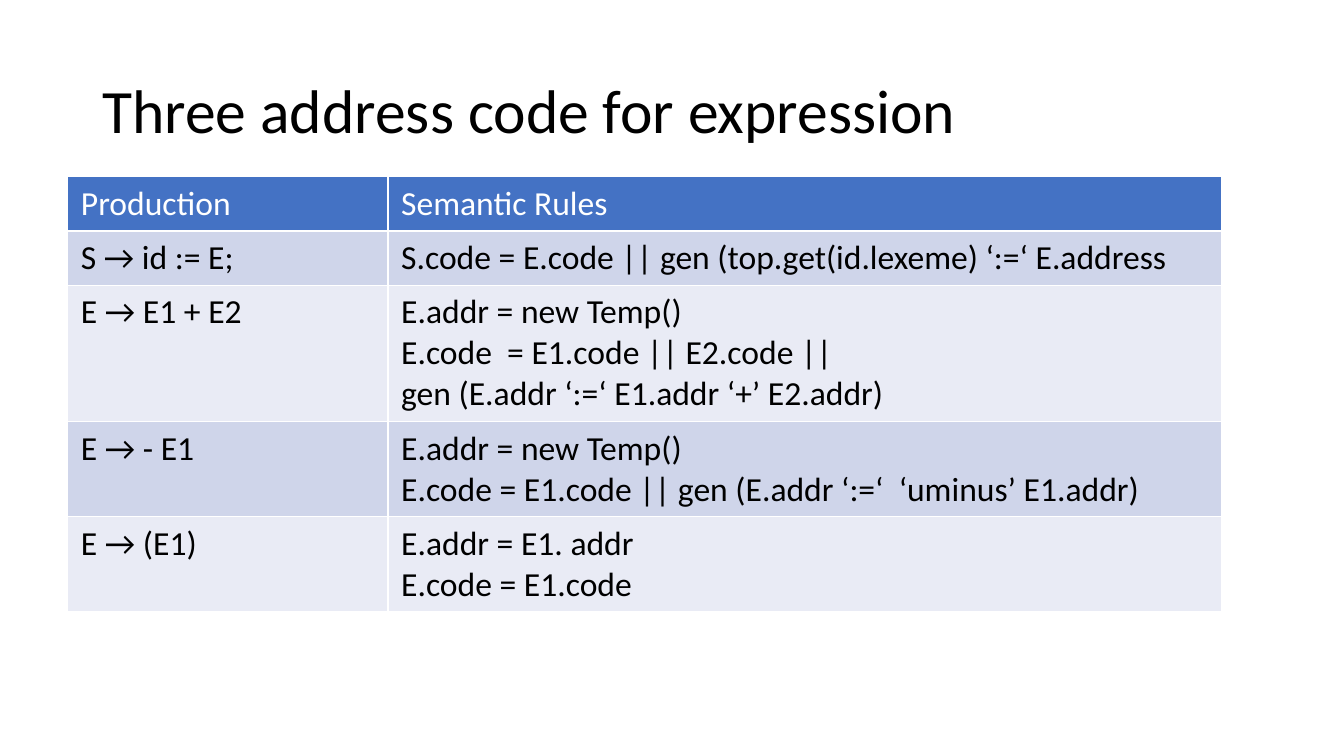
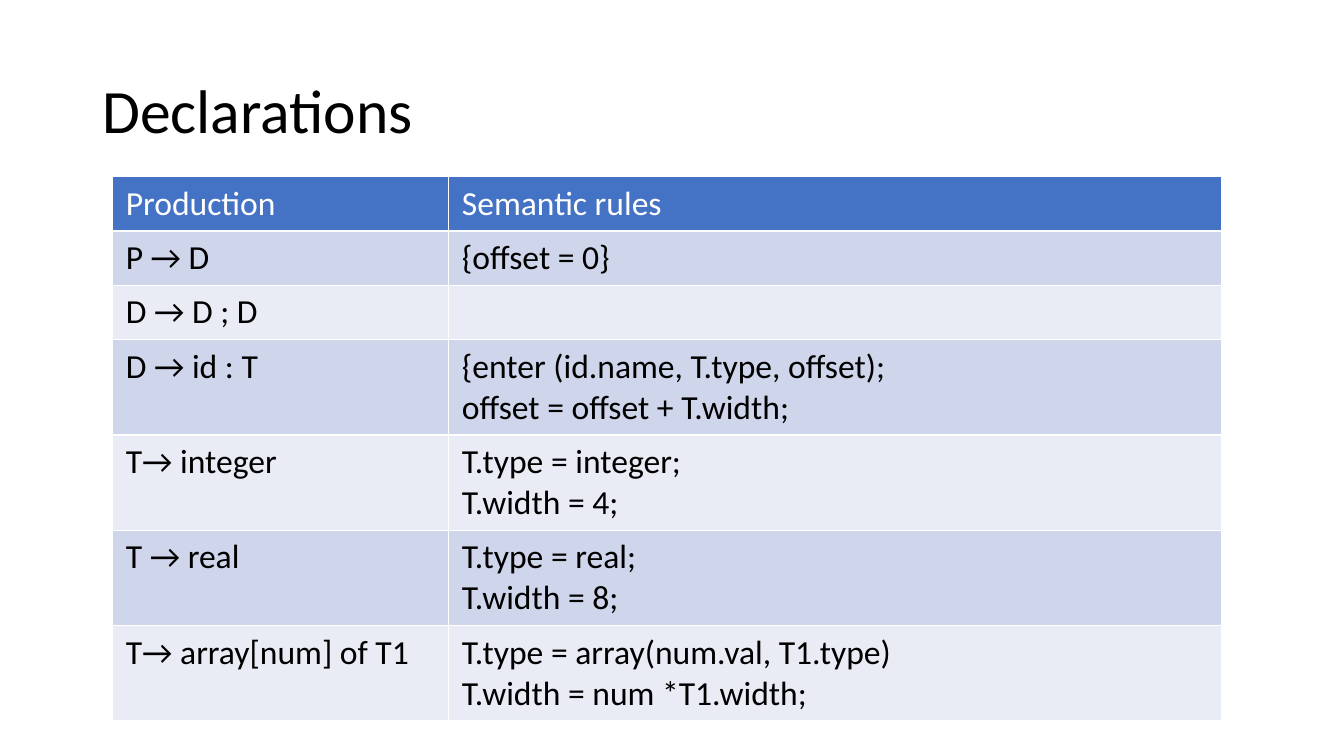
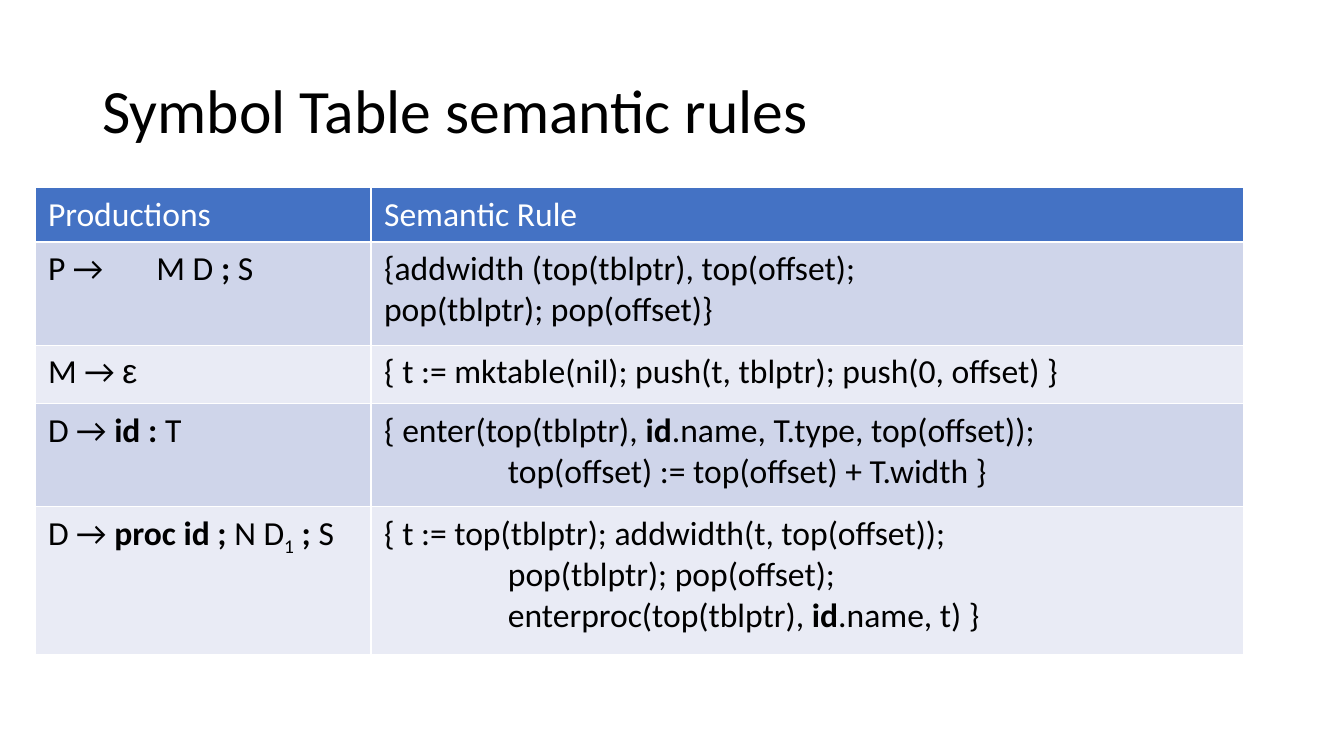
import pptx
import pptx.util
import pptx.dml.color
import pptx.enum.text
import pptx.oxml.ns
import lxml.etree

Cm, Pt = pptx.util.Cm, pptx.util.Pt
RGBColor = pptx.dml.color.RGBColor

BLACK = RGBColor(0x00, 0x00, 0x00)
WHITE = RGBColor(0xFF, 0xFF, 0xFF)
HEADER_BLUE = RGBColor(0x44, 0x72, 0xC4)
BANDS = (RGBColor(0xCF, 0xD5, 0xEA), RGBColor(0xE9, 0xEB, 0xF5))

FONT = "Calibri"
HEADER_HEIGHT = 1.37
ROW_PADDING = 0.34
INDENT = Cm(3.12)

# Content: a line is a string, or a list of strings and (text, style) pairs.
# Lines after the first are indented where the slide asks for it, by row.
BOLD, SUBSCRIPT, GREEK = "bold", "subscript", "greek"

SLIDES = [
    {
        "title": "Three address code for expression",
        "left": 1.71, "top": 4.45, "columns": (8.07, 21), "line": 1.03,
        "header": ("Production", "Semantic Rules"),
        "rows": [
            ("S → id := E;", ["S.code = E.code || gen (top.get(id.lexeme) ‘:=‘ E.address"]),
            ("E → E1 + E2", ["E.addr = new Temp()",
                             "E.code  = E1.code || E2.code ||",
                             "gen (E.addr ‘:=‘ E1.addr ‘+’ E2.addr)"]),
            ("E → - E1", ["E.addr = new Temp()",
                          "E.code = E1.code || gen (E.addr ‘:=‘  ‘uminus’ E1.addr)"]),
            ("E → (E1)", ["E.addr = E1. addr", "E.code = E1.code"]),
        ],
    },
    {
        "title": "Declarations",
        "left": 2.84, "top": 4.45, "columns": (8.47, 19.47), "line": 1.03,
        "header": ("Production", "Semantic rules"),
        "rows": [
            ("P → D", ["{offset = 0}"]),
            ("D → D ; D", [""]),
            ("D → id : T", ["{enter (id.name, T.type, offset);",
                            "offset = offset + T.width;"]),
            ("T→ integer", ["T.type = integer;", "T.width = 4;"]),
            ("T → real", ["T.type = real;", "T.width = 8;"]),
            ("T→ array[num] of T1", ["T.type = array(num.val, T1.type)",
                                     "T.width = num *T1.width;"]),
        ],
    },
    {
        "title": "Symbol Table semantic rules",
        "left": 0.88, "top": 4.73, "columns": (8.47, 22), "line": 1.13,
        "header": ("Productions", "Semantic Rule"),
        "indented_rows": (2, 3),
        "rows": [
            (["P →\t M D", (" ; ", BOLD), "S"],
             ["{addwidth (top(tblptr), top(offset);", "pop(tblptr); pop(offset)}"]),
            (["M → ", ("ε", GREEK)],
             ["{ t := mktable(nil); push(t, tblptr); push(0, offset) }"]),
            (["D → ", ("id :", BOLD), " T"],
             [["{ enter(top(tblptr), ", ("id", BOLD), ".name, T.type, top(offset));"],
              "top(offset) := top(offset) + T.width }"]),
            (["D → ", ("proc id ;", BOLD), " N D", ("1", SUBSCRIPT), (" ; ", BOLD), "S"],
             ["{ t := top(tblptr); addwidth(t, top(offset));",
              "pop(tblptr); pop(offset);",
              ["enterproc(top(tblptr), ", ("id", BOLD), ".name, t) }"]]),
        ],
    },
]


def style_paragraph(para, size, color):
    para.font.name = FONT
    para.font.size = Pt(size)
    para.font.color.rgb = color
    para.font.bold = False


def add_spans(para, line):
    for part in [line] if isinstance(line, str) else line:
        text, style = (part, None) if isinstance(part, str) else part
        if not text:
            continue
        span = para.add_run()
        span.text = text
        if style == BOLD:
            span.font.bold = True
        elif style == SUBSCRIPT:
            span.font._element.set("baseline", "-25000")
        elif style == GREEK:
            span.font.name = "Arial"


def add_borders(cell):
    properties = cell._tc.get_or_add_tcPr()
    qn = pptx.oxml.ns.qn
    for position, side in enumerate(("a:lnL", "a:lnR", "a:lnT", "a:lnB")):
        border = lxml.etree.Element(qn(side), w=str(Pt(1)))
        fill = lxml.etree.SubElement(border, qn("a:solidFill"))
        lxml.etree.SubElement(fill, qn("a:srgbClr"), val=str(WHITE))
        properties.insert(position, border)


def fill_cell(cell, lines, background, color, indented=False):
    cell.fill.solid()
    cell.fill.fore_color.rgb = background
    add_borders(cell)
    cell.margin_left = cell.margin_right = Cm(0.33)
    cell.margin_top = cell.margin_bottom = Cm(0.17)
    for number, line in enumerate(lines):
        para = cell.text_frame.add_paragraph() if number else cell.text_frame.paragraphs[0]
        if indented and number:
            para._p.get_or_add_pPr().set("marL", str(INDENT))
        style_paragraph(para, 24, color)
        add_spans(para, line)


def add_title(page, text):
    box = page.shapes.add_textbox(Cm(2.33), Cm(1.01), Cm(29.21), Cm(3.68))
    frame = box.text_frame
    frame.word_wrap = True
    frame.vertical_anchor = pptx.enum.text.MSO_ANCHOR.MIDDLE
    para = frame.paragraphs[0]
    para.line_spacing = 0.9
    style_paragraph(para, 44, BLACK)
    add_spans(para, text)


def add_rules_table(page, content):
    rows, columns = content["rows"], content["columns"]
    heights = [HEADER_HEIGHT] + [ROW_PADDING + content["line"] * len(rules) for _, rules in rows]
    table = page.shapes.add_table(
        len(heights), len(columns), Cm(content["left"]), Cm(content["top"]),
        Cm(sum(columns)), Cm(sum(heights))).table
    table.horz_banding = False
    table.first_row = False
    for column, width in zip(table.columns, columns):
        column.width = Cm(width)
    for row, height in zip(table.rows, heights):
        row.height = Cm(height)

    # Header, then banded rows
    for column, label in enumerate(content["header"]):
        fill_cell(table.cell(0, column), [label], HEADER_BLUE, WHITE)
    for number, (production, rules) in enumerate(rows):
        band = BANDS[number % 2]
        indented = number in content.get("indented_rows", ())
        fill_cell(table.cell(number + 1, 0), [production], band, BLACK)
        fill_cell(table.cell(number + 1, 1), rules, band, BLACK, indented)


def main():
    deck = pptx.Presentation()
    deck.slide_width, deck.slide_height = Cm(33.87), Cm(19.05)
    for content in SLIDES:
        page = deck.slides.add_slide(deck.slide_layouts[6])
        add_title(page, content["title"])
        add_rules_table(page, content)
    deck.save("out.pptx")


if __name__ == "__main__":
    main()
